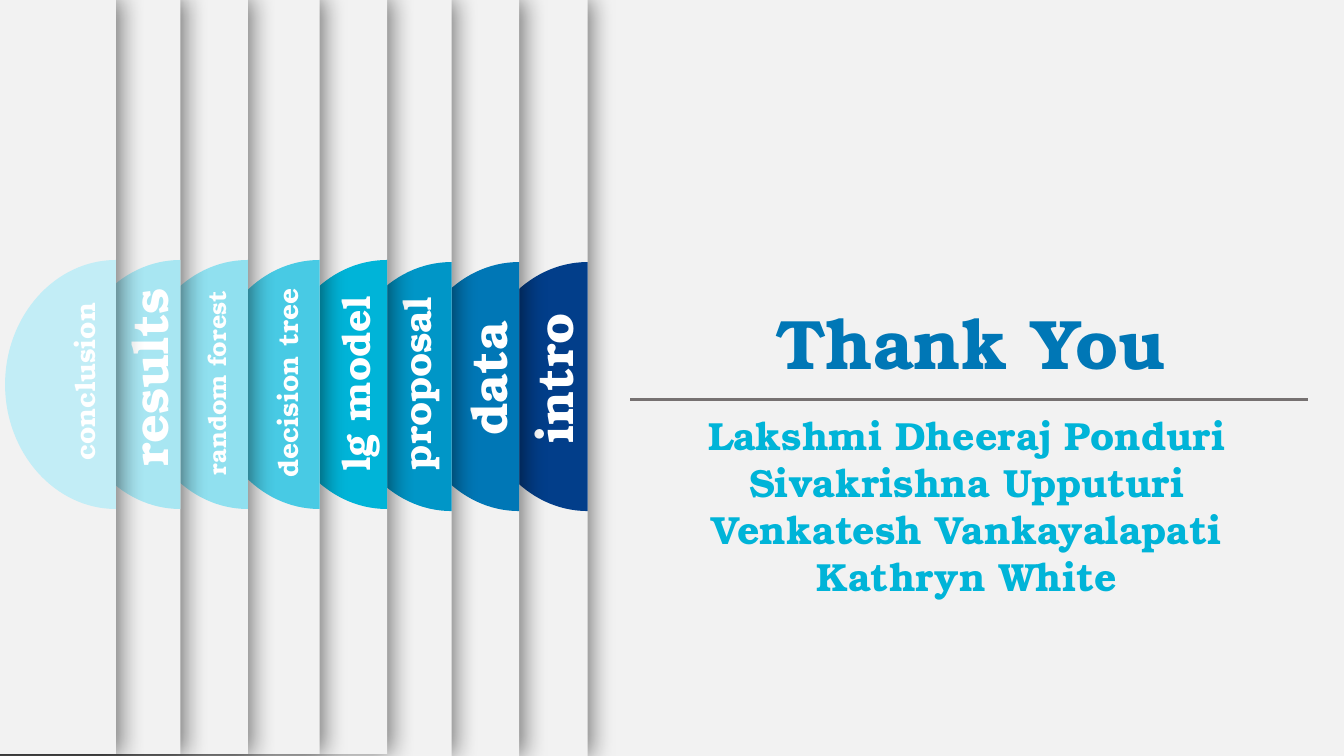
import lxml.etree
import pptx
import pptx.dml.color
import pptx.enum.shapes
import pptx.enum.text
import pptx.oxml
import pptx.oxml.ns
import pptx.util

THEME = {
    "font": "TeX Gyre Bonum",
    "paper": "F2F2F2", "label": "FFFFFF", "rule": "767171", "shadow": "000000",
    "title": "0077B6", "names": "00B4D8",
    "title_size": 50, "names_size": 28,
    "large": 36, "medium": 28, "small": 20, "tiny": 18,
}

prs = pptx.Presentation()
prs.slide_width = pptx.util.Inches(13.333)
prs.slide_height = pptx.util.Inches(7.5)
s = prs.slides.add_slide(prs.slide_layouts[6])
qn = pptx.oxml.ns.qn

# Grid of 100 columns by 100 rows
COL = prs.slide_width / 100
ROW = prs.slide_height / 100


def paint(fill, color):
    fill.solid()
    fill.fore_color.rgb = pptx.dml.color.RGBColor.from_string(color)


def add_text(col, row, cols, rows, lines, size, color):
    sp = s.shapes.add_textbox(int(col * COL), int(row * ROW), int(cols * COL), int(rows * ROW))
    tf = sp.text_frame
    tf.word_wrap = True
    for i, line in enumerate(lines):
        p = tf.paragraphs[0] if i == 0 else tf.add_paragraph()
        p.alignment = pptx.enum.text.PP_ALIGN.CENTER
        r = p.add_run()
        r.text = line
        r.font.name = THEME["font"]
        r.font.size = pptx.util.Pt(size)
        r.font.bold = True
        paint(r.font.fill, color)
    return sp


# Background
paint(s.background.fill, THEME["paper"])

# Tabs from back to front: label, size, colour, right edge, label centre, row shift
TABS = [
    ("intro", "large", "023E8A", 43.73, (41.2, 50.07), 0),
    ("data", "large", "0077B6", 38.63, (36.26, 50.07), 0),
    ("proposal", "medium", "0096C7", 33.6, (30.98, 50.73), 0),
    ("lg model", "medium", "00B4D8", 28.8, (26.4, 50.73), -0.27),
    ("decision tree", "small", "48CAE4", 23.78, (21.38, 50.67), -0.27),
    ("random forest", "tiny", "90E0EF", 18.45, (16.13, 50.67), -0.27),
    ("results", "large", "A8E6F2", 13.43, (11.06, 49.93), -0.27),
    ("conclusion", "small", "C2EDF6", 8.63, (6.26, 50.5), -0.27),
]
RADIUS_COLS, RADIUS_ROWS, CENTRE_ROW = 8.25, 16.47, 51.13
LABEL_COLS = 16.05
BEND = 0.55  # share of the radius that makes a quarter ellipse

for label, size, color, edge, (label_col, label_row), shift in TABS:
    # Full-size card with a soft shadow along its right edge
    card = s.shapes.add_shape(
        pptx.enum.shapes.MSO_SHAPE.RECTANGLE, int((edge - 100) * COL), int(shift * ROW),
        prs.slide_width, prs.slide_height)
    card.shadow.inherit = False
    paint(card.fill, THEME["paper"])
    card.line.fill.background()
    effects = card._element.spPr.find(qn("a:effectLst"))
    shadow = lxml.etree.SubElement(
        effects, qn("a:outerShdw"), blurRad=str(pptx.util.Pt(17)),
        dist=str(pptx.util.Pt(3)), dir="0", algn="l", rotWithShape="0")
    tint = lxml.etree.SubElement(shadow, qn("a:srgbClr"), val=THEME["shadow"])
    lxml.etree.SubElement(tint, qn("a:alpha"), val="50000")

    # Half disc with its flat side on the card's edge
    right, middle = int(edge * COL), int((CENTRE_ROW + shift) * ROW)
    rx, ry = int(RADIUS_COLS * COL), int(RADIUS_ROWS * ROW)
    outline = s.shapes.build_freeform(right, middle - ry)
    outline.add_line_segments(
        [(right, middle + ry), (right - rx, middle), (right, middle - ry)], close=True)
    disc = outline.convert_to_shape()
    disc.shadow.inherit = False
    paint(disc.fill, color)
    disc.line.fill.background()

    # Round the two slanted sides into quarter ellipses
    k = 1 - BEND
    quarters = [
        [(k * rx, 2 * ry), (0, (1 + BEND) * ry), (0, ry)],
        [(0, k * ry), (k * rx, 0), (rx, 0)],
    ]
    sides = list(disc._element.spPr.iter(qn("a:lnTo")))[1:]
    for side, points in zip(sides, quarters):
        curve = lxml.etree.Element(qn("a:cubicBezTo"))
        for x, y in points:
            lxml.etree.SubElement(curve, qn("a:pt"), x=str(int(x)), y=str(int(y)))
        side.getparent().replace(side, curve)

    # Label reading upwards, as tall as one line and its insets
    points = THEME[size]
    rows = pptx.util.Pt(points * 1.2 + 7.2) / ROW
    sp = add_text(label_col - LABEL_COLS / 2, label_row - rows / 2, LABEL_COLS, rows,
                  [label], points, THEME["label"])
    sp.rotation = 270

# Title and names
add_text(45.3, 38.93, 53.85, 12.53, ["Thank You"], THEME["title_size"], THEME["title"])
add_text(49.5, 53.73, 44.85, 26.53,
         ["Lakshmi Dheeraj Ponduri", "Sivakrishna Upputuri",
          "Venkatesh Vankayalapati", "Kathryn White"],
         THEME["names_size"], THEME["names"])

# Rule between title and names
rule = s.shapes.add_connector(
    pptx.enum.shapes.MSO_CONNECTOR.STRAIGHT,
    int(46.88 * COL), int(52.84 * ROW), int(97.35 * COL), int(52.84 * ROW))
paint(rule.line.fill, THEME["rule"])
rule.line.width = pptx.util.Pt(2.75)
lxml.etree.SubElement(rule._element.spPr, qn("a:effectLst"))

prs.save("out.pptx")
